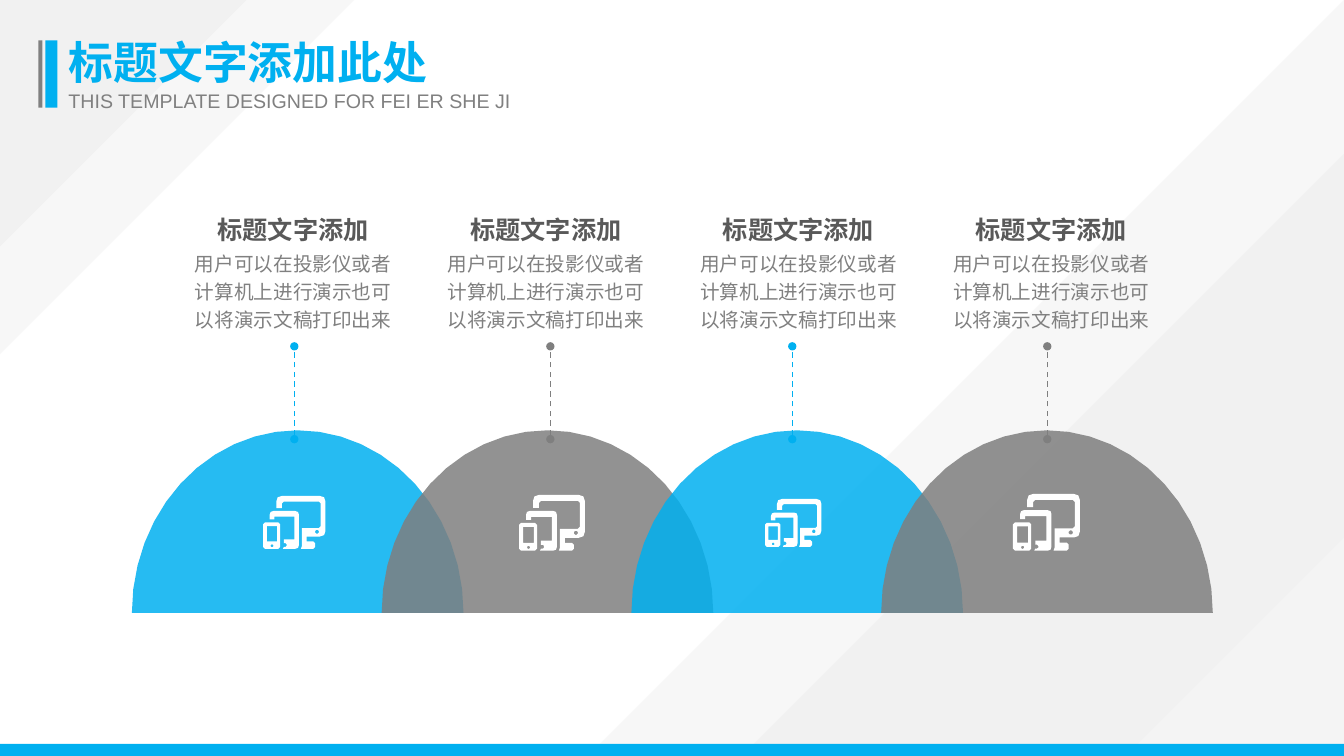
import math

from lxml import etree
from pptx import Presentation
from pptx.dml.color import RGBColor
from pptx.enum.dml import MSO_LINE
from pptx.enum.shapes import MSO_CONNECTOR, MSO_SHAPE
from pptx.enum.text import MSO_ANCHOR, MSO_AUTO_SIZE, PP_ALIGN
from pptx.oxml.ns import qn
from pptx.util import Pt

RECTANGLE = MSO_SHAPE.RECTANGLE
STRAIGHT = MSO_CONNECTOR.STRAIGHT
DASH = MSO_LINE.DASH
TOP = MSO_ANCHOR.TOP
NO_FIT = MSO_AUTO_SIZE.NONE
LEFT, CENTER = PP_ALIGN.LEFT, PP_ALIGN.CENTER

COLORS = {
    "blue": "00B0F0",
    "gray": "7F7F7F",
    "text": "808080",
    "heading": "595959",
    "band": "D9D9D9",
    "white": "FFFFFF",
}
LATIN_FONT = "Arial"
CHINESE_FONT = "Noto Sans CJK SC"
WIDTH, HEIGHT = 960, 540
DOME_STEPS = 24
HEADING = "标题文字添加"
BODY = "用户可以在投影仪或者计算机上进行演示也可以将演示文稿打印出来"

COLUMNS = [
    ("blue", 210.24, (187.9, 354.2, 44.6)),
    ("gray", 393.12, (370.8, 353.5, 47)),
    ("blue", 565.92, (546.5, 356.4, 40.3)),
    ("gray", 748.08, (723.6, 352.8, 47.8)),
]

ICON_WIDTH = 66
ICON = [
    [(0, 28, 2), (18, 28, 2), (18, 56, 2), (0, 56, 2)],
    [(4, 32, 0), (15, 32, 0), (15, 48, 0), (4, 48, 0)],
    [(8, 51.2, 1), (11, 51.2, 1), (11, 54.2, 1), (8, 54.2, 1)],
    [(55, 36, 1.2), (59, 36, 1.2), (59, 40, 1.2), (55, 40, 1.2)],
    [(7, 16, 4), (38, 16, 4), (38, 56, 4), (21, 56, 0), (22, 54, 0),
     (25, 54, 1.2), (25, 50, 1.2), (22, 50, 0), (22, 46, 0), (33, 46, 0),
     (33, 22, 0), (12, 22, 0), (12, 25, 0), (7, 25, 0)],
    [(14, 0, 6), (66, 0, 6), (66, 43, 6), (46, 43, 0), (46, 48, 0),
     (55, 48, 2), (55, 56, 2), (40, 56, 0), (41, 53, 0), (41, 34, 0),
     (61, 34, 2), (61, 6, 2), (20, 6, 2), (20, 13, 0), (14, 13, 0)],
]


def paint(shape, color, opacity=100):
    shape.shadow.inherit = False
    shape.line.fill.background()
    shape.fill.solid()
    shape.fill.fore_color.rgb = RGBColor.from_string(COLORS[color])
    if opacity < 100:
        value = shape.element.spPr.find(".//" + qn("a:srgbClr"))
        etree.SubElement(value, qn("a:alpha")).set("val", str(opacity * 1000))


def add_rectangle(page, box, color):
    paint(page.shapes.add_shape(RECTANGLE, *map(Pt, box)), color)


def add_outline(page, contours, color, opacity=100):
    scaled = [[(Pt(x), Pt(y)) for x, y in contour] for contour in contours]
    builder = page.shapes.build_freeform(*scaled[0][0])
    for index, contour in enumerate(scaled):
        if index:
            builder.move_to(*contour[0])
        builder.add_line_segments(contour[1:], close=True)
    paint(builder.convert_to_shape(), color, opacity)


def write(shape, text, size, color, font, align=LEFT, bold=False, spacing=None):
    frame = shape.text_frame
    frame.text = text
    frame.word_wrap = True
    frame.auto_size = NO_FIT
    frame.vertical_anchor = TOP
    para = frame.paragraphs[0]
    para.alignment = align
    if spacing:
        para.line_spacing = spacing
    span = para.runs[0]
    span.font.name = font
    span.font.size = Pt(size)
    span.font.bold = bold
    span.font.color.rgb = RGBColor.from_string(COLORS[color])
    properties = shape.element.find(".//" + qn("a:rPr"))
    etree.SubElement(properties, qn("a:ea")).set("typeface", font)


def round_corners(vertices):
    points = []
    for index, (x, y, radius) in enumerate(vertices):
        if not radius:
            points.append((x, y))
            continue
        ends = []
        for other in (vertices[index - 1], vertices[(index + 1) % len(vertices)]):
            share = radius / math.dist((x, y), other[:2])
            ends.append((x + (other[0] - x) * share, y + (other[1] - y) * share))
        (x1, y1), (x2, y2) = ends
        middle = ((x1 + 2 * x + x2) / 4, (y1 + 2 * y + y2) / 4)
        points += [ends[0], middle, ends[1]] if radius > 2 else ends
    return points


def add_icon(page, left, top, width):
    scale = width / ICON_WIDTH
    contours = [[(left + x * scale, top + y * scale) for x, y in round_corners(part)]
                for part in ICON]
    add_outline(page, contours, "white")


def add_dome(page, box, color):
    left, top, width, height = box
    radius = width / 2
    angles = [math.pi * step / DOME_STEPS for step in range(DOME_STEPS + 1)]
    arc = [(left + radius - radius * math.cos(angle),
            top + height - height * math.sin(angle)) for angle in angles]
    add_outline(page, [arc], color, 85)


def add_stem(page, x, top, bottom, color):
    stem = page.shapes.add_connector(STRAIGHT, Pt(x), Pt(bottom), Pt(x), Pt(top))
    stem.line.color.rgb = RGBColor.from_string(COLORS[color])
    stem.line.width = Pt(1)
    stem.line.dash_style = DASH
    properties = stem.element.spPr
    for end in ("a:headEnd", "a:tailEnd"):
        etree.SubElement(properties.find(qn("a:ln")), qn(end)).set("type", "oval")
    etree.SubElement(properties, qn("a:effectLst"))


def add_background(page):
    for leg in (253, 176):
        add_outline(page, [[(0, 0), (leg, 0), (0, leg)]], "band", 20)
    for leg, color, opacity in ((540, "band", 20), (430, "band", 20), (156, "white", 25)):
        corner = [(WIDTH, HEIGHT - leg), (WIDTH, HEIGHT), (WIDTH - leg, HEIGHT)]
        add_outline(page, [corner], color, opacity)
    add_rectangle(page, (0, HEIGHT - 8.6, WIDTH, 8.6), "blue")


def add_header(page, box):
    left, top, width, height = box
    title = page.shapes.title
    title.left, title.top = Pt(left + 14.4), Pt(top - 7.9)
    title.width, title.height = Pt(293), Pt(46)
    write(title, "标题文字添加此处", 32, "blue", CHINESE_FONT, bold=True)
    title.element.getparent().append(title.element)
    subtitle = page.shapes.add_textbox(Pt(left + 14.4), Pt(top + 31), Pt(width - 14.4), Pt(24.5))
    write(subtitle, "THIS TEMPLATE DESIGNED FOR FEI ER SHE JI", 14, "text", LATIN_FONT)
    add_rectangle(page, (left + 5, top, 8.6, height), "blue")
    add_rectangle(page, (left, top, 2.9, height), "text")


def add_column(page, box, color, stem, icon):
    top = box[1]
    add_dome(page, box, color)
    add_stem(page, stem, top - 60, top + 6.3, color)
    add_icon(page, *icon)


def add_caption(page, box):
    left, top, width, height = box
    body = page.shapes.add_textbox(Pt(left + 7.6), Pt(top + 27.4), Pt(161.3), Pt(height - 27.4))
    write(body, BODY, 14, "text", LATIN_FONT, CENTER, spacing=1.2)
    heading = page.shapes.add_textbox(Pt(left), Pt(top), Pt(width), Pt(31))
    write(heading, HEADING, 18, "heading", LATIN_FONT, CENTER, True, 1.2)


def main():
    deck = Presentation()
    deck.slide_width, deck.slide_height = Pt(WIDTH), Pt(HEIGHT)
    page = deck.slides.add_slide(deck.slide_layouts[5])
    add_background(page)
    for index, (color, stem, icon) in enumerate(COLUMNS):
        add_column(page, (94.2 + 178.4 * index, 307.4, 236.9, 130.4), color, stem, icon)
    add_header(page, (27.4, 28.8, 426.2, 48.2))
    for index in range(len(COLUMNS)):
        add_caption(page, (121.2 + 180.5 * index, 145.4, 176.4, 95.8))
    deck.save("out.pptx")


if __name__ == "__main__":
    main()
